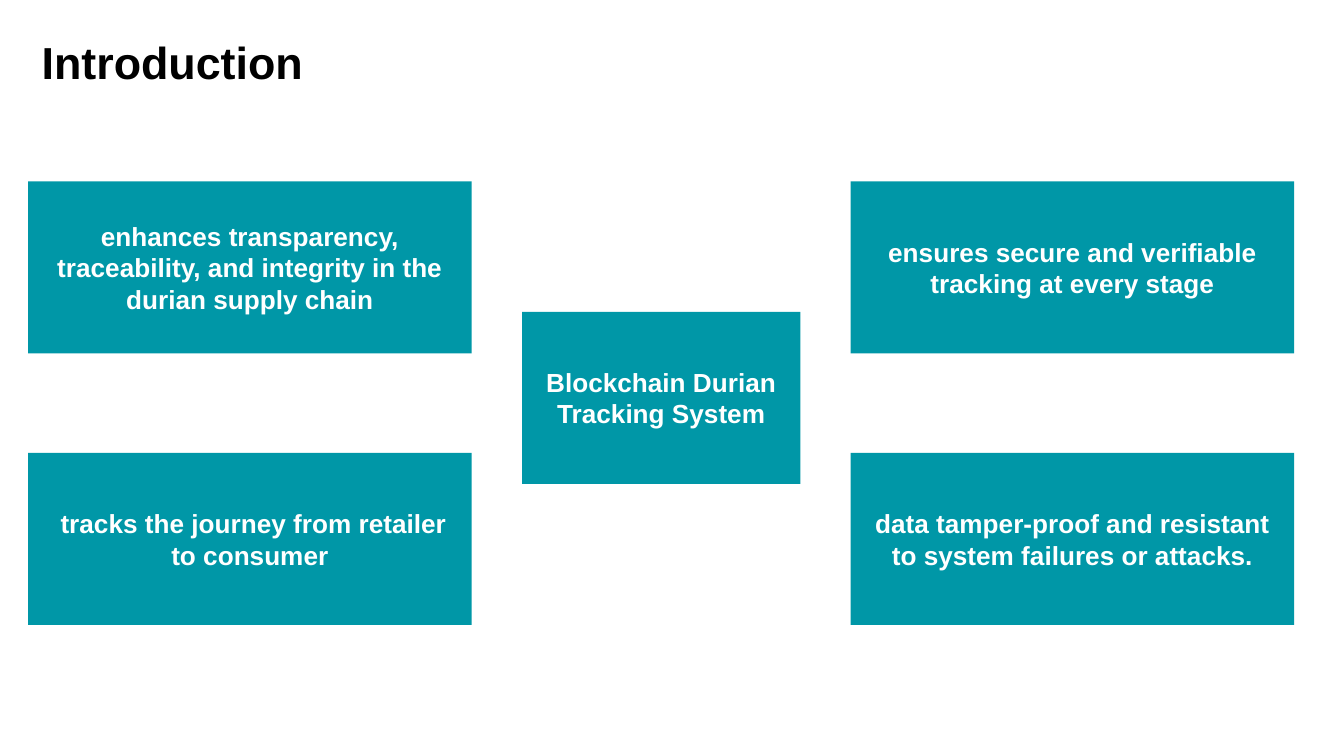
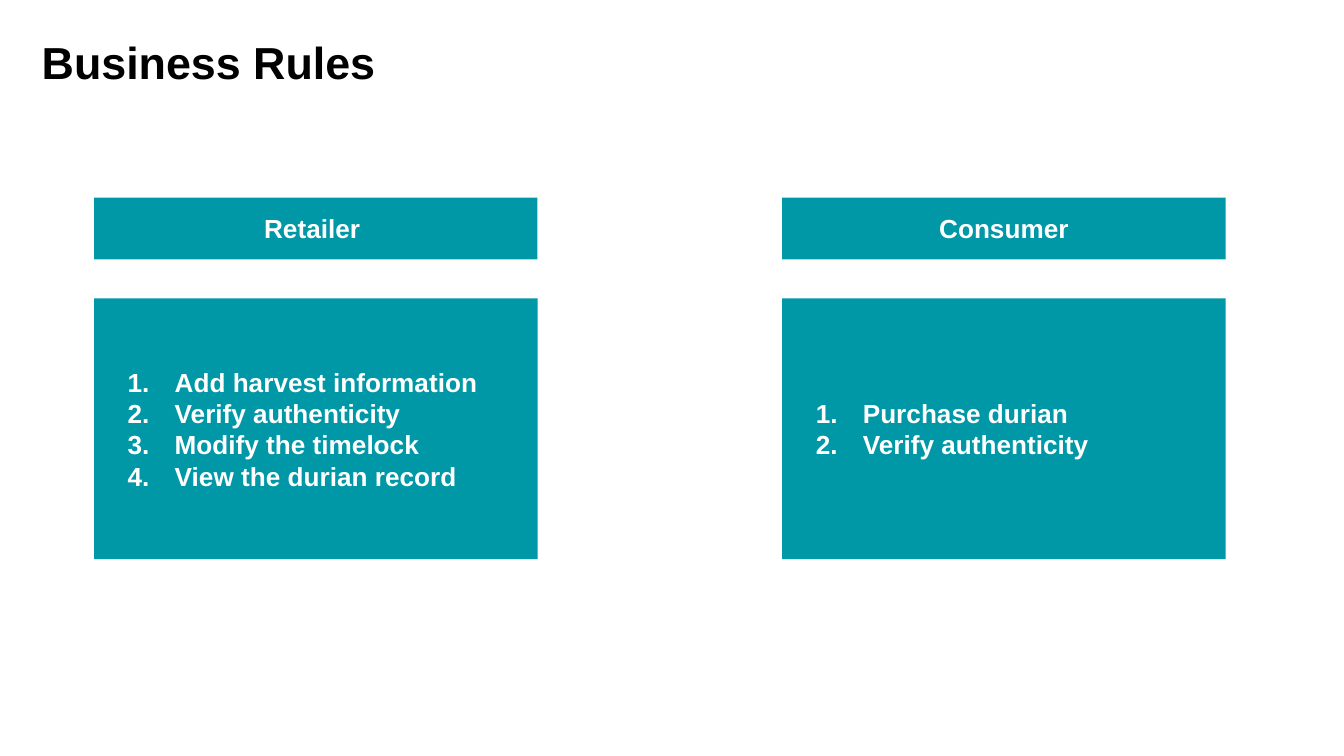
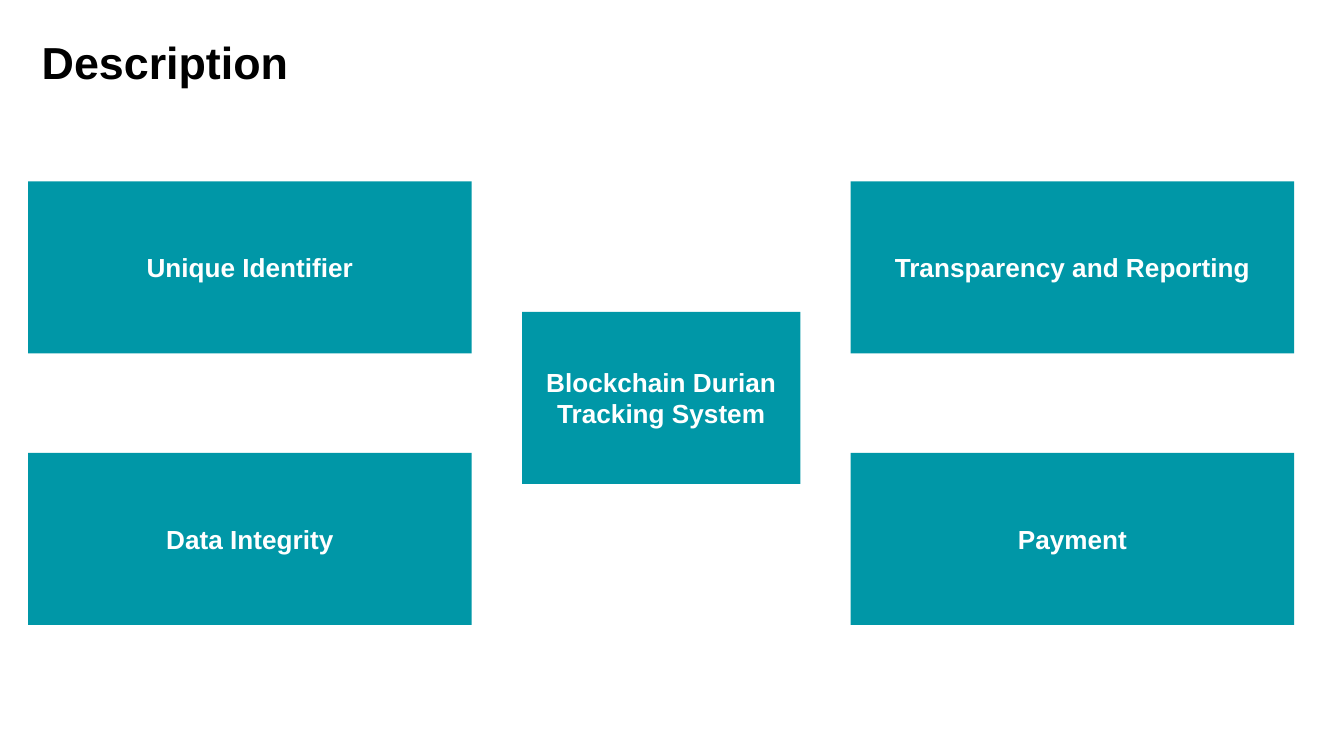
from typing import NamedTuple

from lxml.etree import SubElement
from pptx import Presentation
from pptx.dml.color import RGBColor
from pptx.enum.shapes import MSO_SHAPE
from pptx.enum.text import MSO_ANCHOR, MSO_AUTO_SIZE, PP_ALIGN
from pptx.oxml.ns import qn
from pptx.util import Inches, Pt

TEAL = RGBColor(0x00, 0x97, 0xA7)
WHITE = RGBColor(0xFF, 0xFF, 0xFF)
BLACK = RGBColor(0x00, 0x00, 0x00)
FONT = "Arial"
TITLE_SIZE, TEXT_SIZE = 24, 14
INSET = 0.1

SLIDE_WIDTH = Inches(10)
SLIDE_HEIGHT = SLIDE_WIDTH * 9 // 16
TITLE_ONLY, TWO_CONTENT = 5, 3  # layouts of the default template

CARD_WIDTH, CARD_HEIGHT = 3.3, 1.28
HUB_WIDTH, HUB_OFFSET = 2.07, 0.97
HEADER_HEIGHT, HEADER_GAP = 0.46, 0.29
LIST_MARGIN, LIST_HANG = 0.5, 0.35

HUB_TEXT = "Blockchain Durian Tracking System"


class Box(NamedTuple):
    """A region of the slide, in inches."""
    left: float
    top: float
    width: float
    height: float


HUB_REGION = Box(0.21, 1.35, 9.42, 3.3)
ROLE_REGIONS = [Box(left, 1.47, CARD_WIDTH, 2.69) for left in (0.7, 5.82)]


def place(shape, box):
    shape.left, shape.top, shape.width, shape.height = map(Inches, box)


def write(shape, lines, size, color, align, anchor):
    frame = shape.text_frame
    frame.text = "\n".join(lines)
    frame.word_wrap = True
    frame.auto_size = MSO_AUTO_SIZE.NONE
    frame.vertical_anchor = anchor
    frame.margin_left = frame.margin_right = Inches(INSET)
    frame.margin_top = frame.margin_bottom = Inches(INSET)
    for para in frame.paragraphs:
        para.alignment = align
        para.space_before = Pt(0)
        para.font.name = FONT
        para.font.size = Pt(size)
        para.font.bold = True
        para.font.color.rgb = color


def fill_teal(shape):
    shape.fill.solid()
    shape.fill.fore_color.rgb = TEAL
    shape.line.fill.background()
    shape.shadow.inherit = False


def number(para):
    props = para._p.get_or_add_pPr()
    props.set("marL", str(Inches(LIST_MARGIN)))
    props.set("indent", str(-Inches(LIST_HANG)))
    numbering = SubElement(props, qn("a:buAutoNum"), type="arabicPeriod")
    default_font = props.find(qn("a:defRPr"))
    default_font.addprevious(numbering)


def add_page(deck, layout, title, title_width):
    page = deck.slides.add_slide(deck.slide_layouts[layout])
    place(page.shapes.title, Box(0.21, 0.16, title_width, 0.61))
    write(page.shapes.title, [title], TITLE_SIZE, BLACK,
          PP_ALIGN.LEFT, MSO_ANCHOR.TOP)
    return page


def add_card(page, box, text):
    card = page.shapes.add_shape(MSO_SHAPE.RECTANGLE, *map(Inches, box))
    fill_teal(card)
    write(card, [text], TEXT_SIZE, WHITE, PP_ALIGN.CENTER, MSO_ANCHOR.MIDDLE)


def add_hub(page, region, columns):
    """Put cards in the four corners of the region, around a central card."""
    for column, texts in enumerate(columns):
        for row, text in enumerate(texts):
            left = region.left + column * (region.width - CARD_WIDTH)
            top = region.top + row * (region.height - CARD_HEIGHT)
            add_card(page, Box(left, top, CARD_WIDTH, CARD_HEIGHT), text)
    hub_left = region.left + (region.width - HUB_WIDTH) / 2
    hub = Box(hub_left, region.top + HUB_OFFSET, HUB_WIDTH, CARD_HEIGHT)
    add_card(page, hub, HUB_TEXT)


def add_role(page, region, body, role, rules):
    """Put the role's header above its numbered rules."""
    add_card(page, region._replace(height=HEADER_HEIGHT), role)
    offset = HEADER_HEIGHT + HEADER_GAP
    place(body, region._replace(top=region.top + offset,
                                height=region.height - offset))
    fill_teal(body)
    write(body, rules, TEXT_SIZE, WHITE, PP_ALIGN.LEFT, MSO_ANCHOR.MIDDLE)
    for para in body.text_frame.paragraphs:
        number(para)


def build_introduction(deck):
    page = add_page(deck, TITLE_ONLY, "Introduction", 2.19)
    add_hub(page, HUB_REGION, [
        ["enhances transparency, traceability, and integrity in the durian supply chain",
         " tracks the journey from retailer to consumer"],
        ["ensures secure and verifiable tracking at every stage",
         "data tamper-proof and resistant to system failures or attacks."],
    ])


def build_business_rules(deck):
    page = add_page(deck, TWO_CONTENT, "Business Rules", 3.04)
    roles = {
        "Retailer ": ["Add harvest information", "Verify authenticity",
                      "Modify the timelock", "View the durian record"],
        "Consumer": ["Purchase durian", "Verify authenticity"],
    }
    bodies = list(page.placeholders)[1:]
    for region, body, (role, rules) in zip(ROLE_REGIONS, bodies, roles.items()):
        add_role(page, region, body, role, rules)


def build_description(deck):
    page = add_page(deck, TITLE_ONLY, "Description", 2.19)
    add_hub(page, HUB_REGION, [
        ["Unique Identifier", "Data Integrity"],
        ["Transparency and Reporting", "Payment"],
    ])


def main():
    deck = Presentation()
    deck.slide_width, deck.slide_height = SLIDE_WIDTH, SLIDE_HEIGHT
    build_introduction(deck)
    build_business_rules(deck)
    build_description(deck)
    deck.save("out.pptx")


if __name__ == "__main__":
    main()
